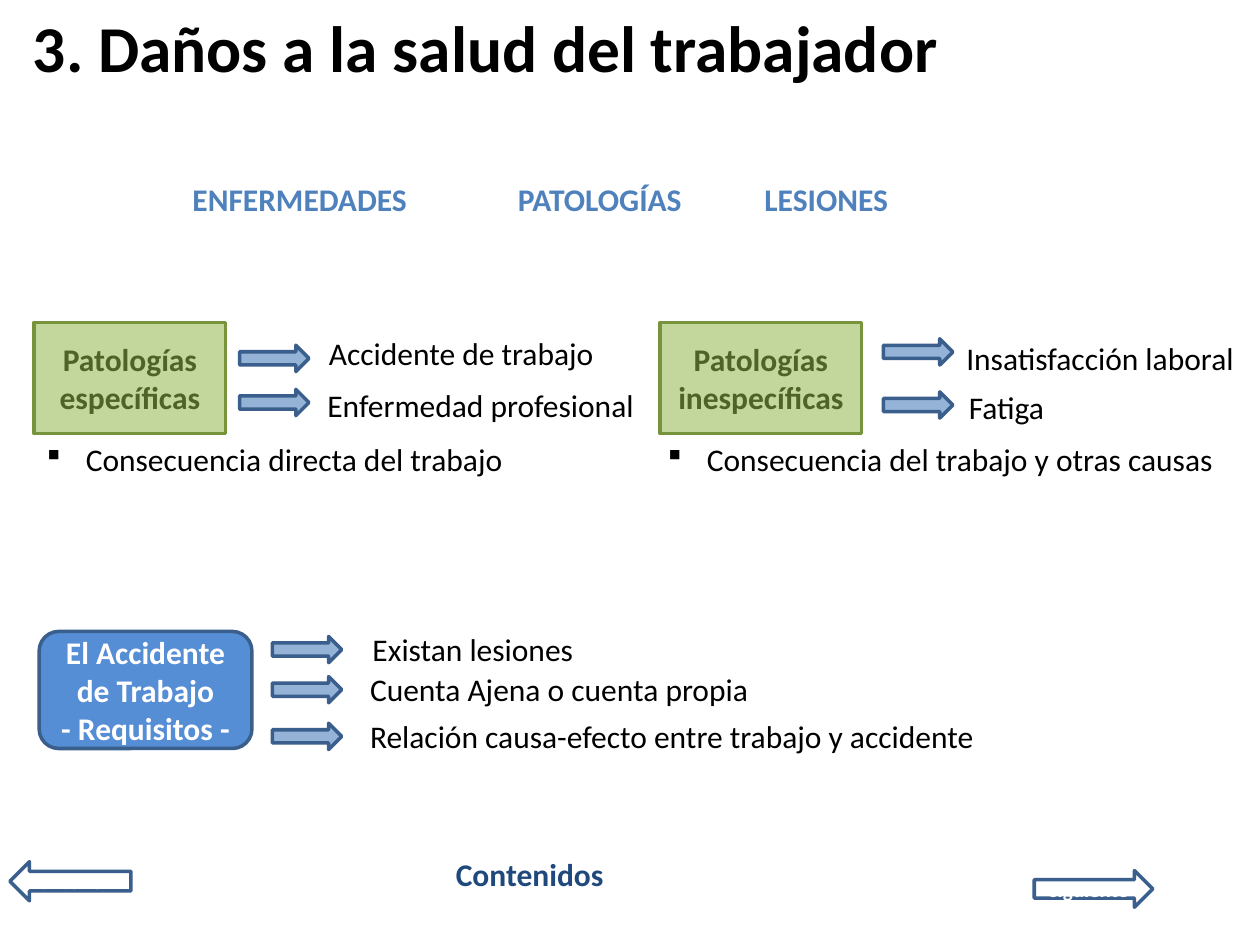
import pptx
import pptx.util
import pptx.dml.color
import pptx.enum.shapes
import pptx.enum.text
import pptx.oxml.ns
from lxml import etree

Cm = pptx.util.Cm
SHAPE = pptx.enum.shapes.MSO_SHAPE
ALIGN = pptx.enum.text.PP_ALIGN
ANCHOR = pptx.enum.text.MSO_ANCHOR
FIT = pptx.enum.text.MSO_AUTO_SIZE

COLORS = {
    "black": "000000",
    "white": "FFFFFF",
    "heading": "4F81BD",
    "navy": "1F497D",
    "outline": "3A5F8C",
    "arrow": "95B3D7",
    "accident": "558ED5",
    "green": "C3D69B",
    "green_line": "77933C",
    "green_text": "4F6228",
}
LINE_HEIGHT = 1.02


def rgb(name):
    return pptx.dml.color.RGBColor.from_string(COLORS[name])


def write(frame, text, size=18, color="black", bold=False, align=ALIGN.LEFT):
    for index, line in enumerate(text.split("\n")):
        para = frame.add_paragraph() if index else frame.paragraphs[0]
        para.alignment = align
        span = para.add_run()
        span.text = line
        span.font.name = "Calibri"
        span.font.size = pptx.util.Pt(size)
        span.font.bold = bold
        span.font.color.rgb = rgb(color)


def add_title(page, text):
    title = page.shapes.title
    title.left, title.top, title.width, title.height = Cm(0.41), Cm(0.13), Cm(22.86), Cm(1.6)
    frame = title.text_frame
    frame.auto_size = FIT.NONE
    frame.vertical_anchor = ANCHOR.MIDDLE
    write(frame, text, size=37.4, bold=True)


def add_text(page, text, left, top, width, **style):
    box = page.shapes.add_textbox(Cm(left), Cm(top), Cm(width), Cm(LINE_HEIGHT))
    box.text_frame.word_wrap = True
    box.text_frame.auto_size = FIT.SHAPE_TO_FIT_TEXT
    write(box.text_frame, text, **style)
    return box


def add_bullet(page, text, left, top, width):
    box = add_text(page, text, left, top, width)
    properties = box.text_frame.paragraphs[0]._p.get_or_add_pPr()
    properties.set("marL", str(Cm(0.79)))
    properties.set("indent", str(-Cm(0.79)))
    font = etree.SubElement(properties, pptx.oxml.ns.qn("a:buFont"))
    font.set("typeface", "Wingdings")
    font.set("charset", "2")
    bullet = etree.SubElement(properties, pptx.oxml.ns.qn("a:buChar"))
    bullet.set("char", "§")


def add_block(page, kind, left, top, width, height, fill=None, line="outline", text="", **style):
    block = page.shapes.add_shape(kind, Cm(left), Cm(top), Cm(width), Cm(height))
    block.shadow.inherit = False
    if fill:
        block.fill.solid()
        block.fill.fore_color.rgb = rgb(fill)
    else:
        block.fill.background()
    block.line.color.rgb = rgb(line)
    block.line.width = pptx.util.Pt(2)
    if text:
        block.text_frame.word_wrap = True
        block.text_frame.vertical_anchor = ANCHOR.MIDDLE
        write(block.text_frame, text, bold=True, align=ALIGN.CENTER, **style)


def add_arrows(page, left, tops):
    for top in tops:
        add_block(page, SHAPE.RIGHT_ARROW, left, top, 1.4, 0.53, fill="arrow")


def main():
    deck = pptx.Presentation()
    deck.slide_width, deck.slide_height = Cm(25.4), Cm(19.05)
    page = deck.slides.add_slide(deck.slide_layouts[5])
    add_title(page, "3. Daños a la salud del trabajador")

    for text, left, width in (
        ("ENFERMEDADES", 3.63, 5.89),
        ("PATOLOGÍAS", 10.19, 3.94),
        ("LESIONES", 15.16, 3.28),
    ):
        add_text(page, text, left, 3.51, width, color="heading", bold=True)

    for text, left, width in (
        ("Patologías específicas", 0.69, 3.86),
        ("Patologías inespecíficas", 13.31, 4.06),
    ):
        add_block(page, SHAPE.RECTANGLE, left, 6.5, width, 2.24, fill="green",
                  line="green_line", text=text, color="green_text")
    add_block(page, SHAPE.ROUNDED_RECTANGLE, 0.79, 12.73, 4.29, 2.36, fill="accident",
              text="El Accidente de Trabajo\n- Requisitos -", color="white")

    add_arrows(page, 4.83, (6.96, 7.85))
    add_arrows(page, 17.81, (6.83, 7.9))
    add_arrows(page, 5.49, (12.83, 13.64, 14.58))

    for text, left, top, width in (
        ("Accidente de trabajo", 6.38, 6.6, 5.99),
        ("Enfermedad profesional", 6.35, 7.65, 7.8),
        ("Insatisfacción laboral", 19.23, 6.71, 8.56),
        ("Fatiga", 19.28, 7.7, 2.16),
        ("Existan lesiones", 7.26, 12.57, 10.49),
        ("Cuenta Ajena o cuenta propia", 7.21, 13.39, 10.49),
        ("Relación causa-efecto entre trabajo y accidente", 7.21, 14.33, 17.15),
    ):
        add_text(page, text, left, top, width)

    add_bullet(page, "Consecuencia directa del trabajo", 0.69, 8.74, 11.68)
    add_bullet(page, "Consecuencia del trabajo y otras causas", 13.21, 8.74, 11.68)

    add_text(page, "Contenidos", 8.94, 17.12, 3.66, color="navy", bold=True)
    for kind, text, left, top, width, height in (
        (SHAPE.LEFT_ARROW, "anterior", 0.2, 17.37, 2.44, 0.79),
        (SHAPE.RIGHT_ARROW, "siguiente", 20.85, 17.55, 2.39, 0.74),
    ):
        add_block(page, kind, left, top, width, height, text=text, size=12, color="white")

    deck.save("out.pptx")


main()
